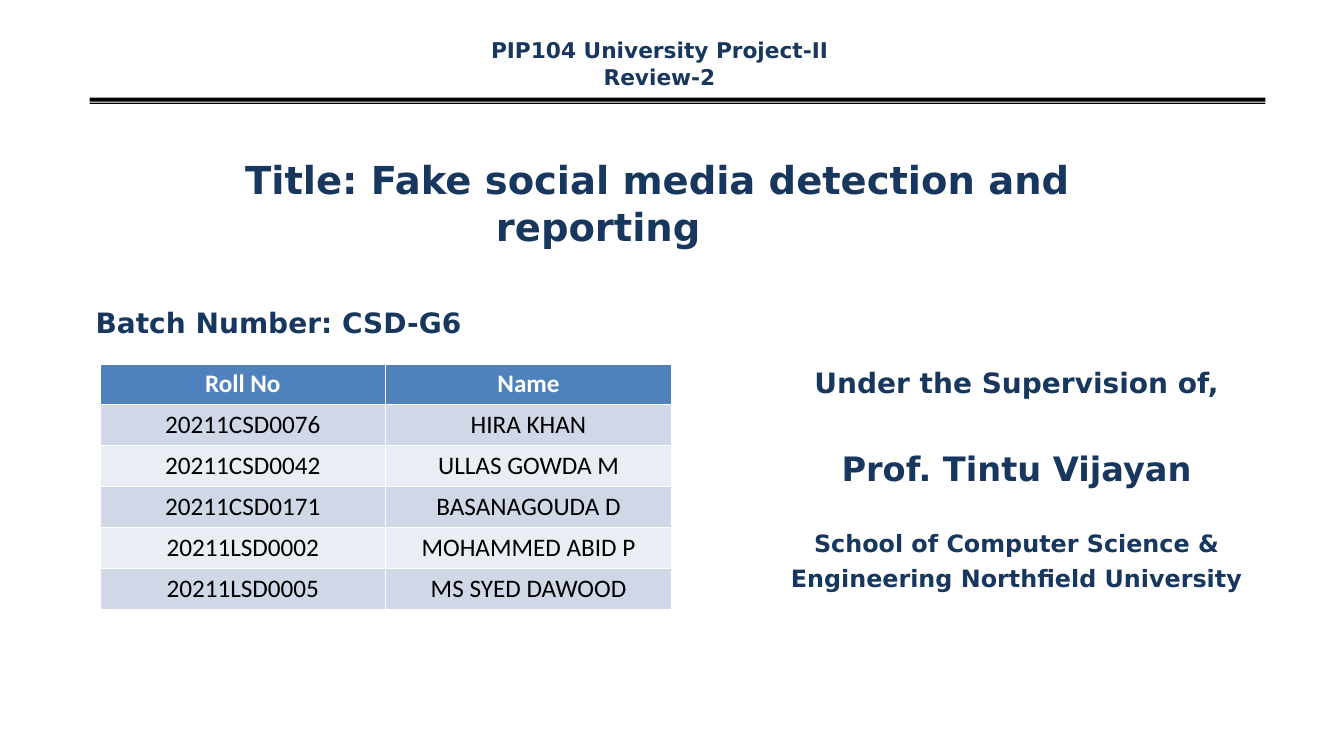
from pptx import Presentation
from pptx.dml.color import RGBColor
from pptx.enum.text import PP_ALIGN
from pptx.util import Cm, Pt

COLORS = {
    "navy": "17375E",
    "rule": "000000",
    "header": "4F81BD",
    "odd": "D0D8E8",
    "even": "E9EDF4",
    "light": "FFFFFF",
    "dark": "000000",
}
HEADING_FONT = "DejaVu Sans"
TABLE_FONT = "Calibri"
STUDENTS = [
    ("Roll No", "Name"),
    ("20211CSD0076", "HIRA KHAN"),
    ("20211CSD0042", "ULLAS GOWDA M"),
    ("20211CSD0171", "BASANAGOUDA D"),
    ("20211LSD0002", "MOHAMMED ABID P"),
    ("20211LSD0005", "MS SYED DAWOOD"),
]


def color(name):
    return RGBColor.from_string(COLORS[name])


def set_font(paragraph, name, size, color_name, bold):
    font = paragraph.font
    font.name, font.size, font.bold = name, Pt(size), bold
    font.color.rgb = color(color_name)


def add_text(slide, box, lines, align=PP_ALIGN.LEFT):
    """Write lines of (text, size, space before, line spacing) in the box."""
    frame = slide.shapes.add_textbox(*map(Cm, box)).text_frame
    frame.word_wrap = True
    frame.margin_left = frame.margin_right = frame.margin_bottom = 0
    frame.margin_top = Cm(0.04)
    for index, (text, size, before, spacing) in enumerate(lines):
        para = frame.add_paragraph() if index else frame.paragraphs[0]
        para.text = text
        para.alignment = align
        para.space_before = Pt(before)
        para.line_spacing = spacing
        set_font(para, HEADING_FONT, size, "navy", True)
    return frame


def add_double_rule(slide, box):
    """Thick bar over a thin one, as a single outline."""
    left, top, width, height = box
    builder = None
    for start, end in ((0, 0.64), (0.8, 1)):
        upper, lower = top + start * height, top + end * height
        corners = [(left, upper), (left + width, upper),
                   (left + width, lower), (left, lower)]
        points = [(Cm(x), Cm(y)) for x, y in corners]
        if builder is None:
            builder = slide.shapes.build_freeform(*points[0])
        else:
            builder.move_to(*points[0])
        builder.add_line_segments(points[1:], close=True)
    rule = builder.convert_to_shape()
    rule.shadow.inherit = False
    rule.fill.solid()
    rule.fill.fore_color.rgb = color("rule")
    rule.line.fill.background()


def add_title(slide, box):
    """Title whose second line hangs far to the right of the first."""
    text = "Title: Fake social media detection and reporting"
    frame = add_text(slide, box, [(text, 27.5, 0.5, 1.02)])
    properties = frame.paragraphs[0]._p.get_or_add_pPr()
    properties.set("marL", str(Cm(6.35)))
    properties.set("indent", str(Cm(-6.32)))


def add_students(slide, box):
    table = slide.shapes.add_table(
        len(STUDENTS), len(STUDENTS[0]), *map(Cm, box)).table
    for row_index, student in enumerate(STUDENTS):
        is_header = row_index == 0
        fill = "header" if is_header else ("even", "odd")[row_index % 2]
        for column_index, text in enumerate(student):
            cell = table.cell(row_index, column_index)
            cell.text = text
            cell.fill.solid()
            cell.fill.fore_color.rgb = color(fill)
            para = cell.text_frame.paragraphs[0]
            para.alignment = PP_ALIGN.CENTER
            set_font(para, TABLE_FONT, 18,
                     "light" if is_header else "dark", is_header)


def build_cover(deck):
    slide = deck.slides.add_slide(deck.slide_layouts[6])

    # Course heading above the double rule
    add_double_rule(slide, (2.26, 2.46, 29.63, 0.16))
    add_text(slide, (12.01, 0.89, 9.22, 1.42), [
        ("PIP104 University Project-II", 15.5, 1.2, 1.0),
        ("Review-2", 15.5, 0.9, 1.0),
    ], PP_ALIGN.CENTER)

    # Project title
    add_title(slide, (6.15, 3.86, 23.11, 2.31))

    # Batch and its students
    add_text(slide, (2.41, 7.65, 9.78, 0.94),
             [("Batch Number: CSD-G6", 20, 1.2, 1.0)])
    add_students(slide, (2.52, 9.17, 14.4, 6.18))

    # Supervisor
    add_text(slide, (18.52, 9.17, 14.2, 5.79), [
        ("Under the Supervision of,", 20, 1.2, 1.0),
        ("Prof. Tintu Vijayan", 24, 35, 1.0),
        ("School of Computer Science & Engineering Northfield University",
         17, 24.1, 1.22),
    ], PP_ALIGN.CENTER)


def main():
    deck = Presentation()
    deck.slide_width, deck.slide_height = Cm(33.87), Cm(19.05)
    build_cover(deck)
    deck.save("out.pptx")


if __name__ == "__main__":
    main()
